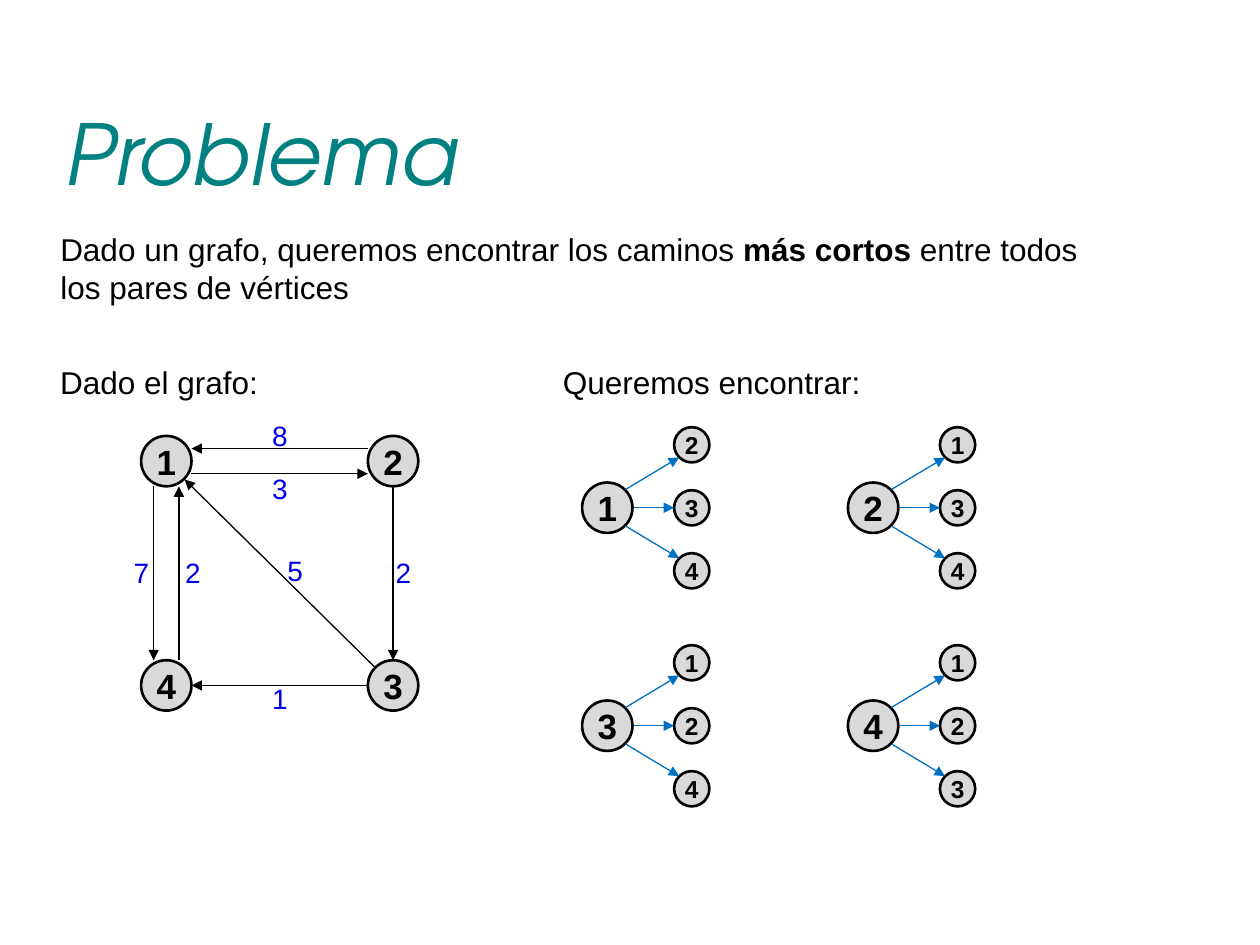
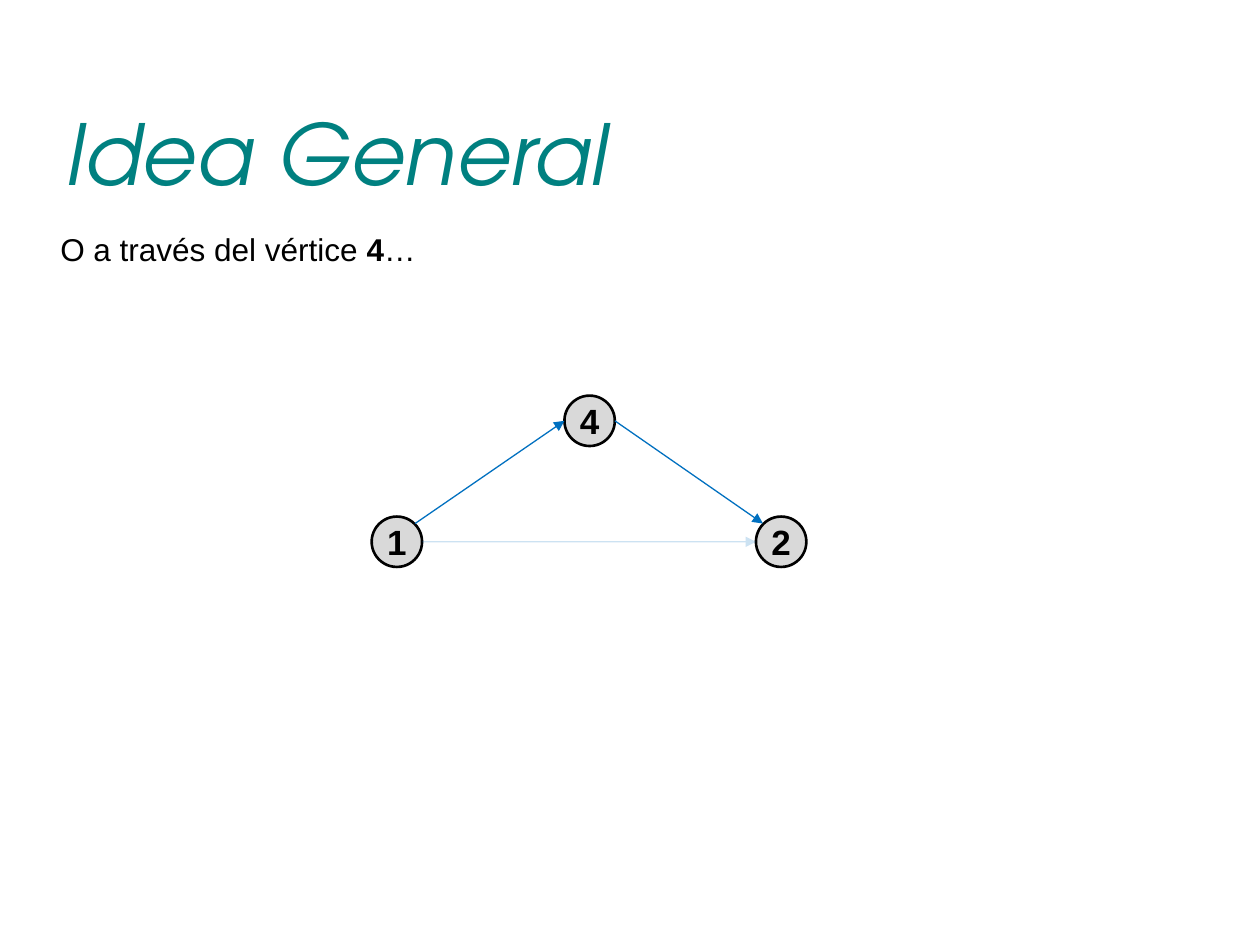
"""Build two slides on shortest paths between all pairs of vertices."""
from lxml.etree import SubElement
from pptx import Presentation
from pptx.dml.color import RGBColor
from pptx.enum.shapes import MSO_CONNECTOR as Connector, MSO_SHAPE as Shape
from pptx.enum.text import MSO_ANCHOR as Anchor, PP_ALIGN as Align
from pptx.oxml.ns import qn
from pptx.util import Inches, Pt

COLORS = {
    "title": "008080",
    "text": "000000",
    "node": "D9D9D9",
    "edge": "000000",
    "path": "0070C0",
    "weight": "0000E6",
}
TITLE_FONT = "TeX Gyre Adventor"
BODY_FONT = "Arial"
RADIUS, SMALL_RADIUS = 0.2, 0.14
DIAGONAL = 0.145


def color(name):
    return RGBColor.from_string(COLORS[name])


def write(box, text, size=18, ink="text", font=BODY_FONT, bold=False, italic=False,
          align=None, anchor=Anchor.TOP, wrap=True, inset=True):
    """Fill a box with one paragraph; ** toggles bold."""
    frame = box.text_frame
    frame.word_wrap = wrap
    frame.vertical_anchor = anchor
    if not inset:
        frame.margin_left = frame.margin_right = 0
        frame.margin_top = frame.margin_bottom = 0
    para = frame.paragraphs[0]
    para.alignment = align
    for index, part in enumerate(text.split("**")):
        span = para.add_run()
        span.text = part
        span.font.name = font
        span.font.size = Pt(size)
        span.font.bold = bold != (index % 2 == 1)
        span.font.italic = italic
        span.font.color.rgb = color(ink)


def add_text(page, text, left, top, width, height, **style):
    box = page.shapes.add_textbox(Inches(left), Inches(top), Inches(width), Inches(height))
    write(box, text, **style)


def add_page(deck, title):
    """Add a blank page with the shared title style."""
    page = deck.slides.add_slide(deck.slide_layouts[6])
    add_text(page, title, 0.42, 0.58, 9, 1.25, size=48, ink="title",
             font=TITLE_FONT, italic=True, anchor=Anchor.MIDDLE)
    return page


def add_node(page, label, center, radius=RADIUS, size=20):
    x, y = center
    node = page.shapes.add_shape(Shape.OVAL, Inches(x - radius), Inches(y - radius),
                                 Inches(2 * radius), Inches(2 * radius))
    node.shadow.inherit = False
    node.fill.solid()
    node.fill.fore_color.rgb = color("node")
    node.line.color.rgb = color("edge")
    node.line.width = Pt(1.5)
    write(node, label, size=size, bold=True, align=Align.CENTER,
          anchor=Anchor.MIDDLE, wrap=False, inset=False)


def add_arrow(page, start, end, ink="path", opacity=100):
    arrow = page.shapes.add_connector(Connector.STRAIGHT, *map(Inches, (*start, *end)))
    arrow.line.color.rgb = color(ink)
    arrow.line.width = Pt(0.75)
    outline = arrow.line._ln
    if opacity < 100:
        shade = outline.find(".//" + qn("a:srgbClr"))
        SubElement(shade, qn("a:alpha"), val=str(opacity * 1000))
    SubElement(outline, qn("a:tailEnd"), type="triangle")
    SubElement(arrow._element.spPr, qn("a:effectLst"))


def shift(point, dx, dy):
    return point[0] + dx, point[1] + dy


def add_star(page, source, targets, center):
    """Draw a source vertex with an arrow to each of its three targets."""
    add_node(page, source, center)
    for target, side in zip(targets, (-1, 0, 1)):
        goal = shift(center, 0.67, 0.5 * side)
        add_node(page, target, goal, SMALL_RADIUS, 14)
        leave = DIAGONAL if side else RADIUS + 0.01
        arrive = 0.1 if side else SMALL_RADIUS
        add_arrow(page, shift(center, leave, DIAGONAL * side),
                  shift(goal, -arrive, -0.1 * side))


def add_graph(page):
    """Draw the directed graph with its edge weights."""
    left, right, top, bottom = 1.32, 3.12, 3.66, 5.44
    vertices = {"1": (left, top), "2": (right, top),
                "3": (right, bottom), "4": (left, bottom)}
    for label, center in vertices.items():
        add_node(page, label, center)
    edges = [
        ("3", (-RADIUS, 0), "4", (RADIUS, 0), "1", (2.16, 5.41)),
        ("3", (-DIAGONAL, -DIAGONAL), "1", (DIAGONAL, DIAGONAL), "5", (2.28, 4.39)),
        ("2", (0, RADIUS), "3", (0, -RADIUS), "2", (3.14, 4.41)),
        ("2", (-RADIUS, -0.1), "1", (RADIUS, -0.1), "8", (2.16, 3.32)),
        ("1", (RADIUS, 0.1), "2", (-RADIUS, 0.1), "3", (2.16, 3.74)),
        ("1", (-0.1, RADIUS), "4", (-0.1, -RADIUS), "7", (1.06, 4.41)),
        ("4", (0.1, -RADIUS), "1", (0.1, RADIUS), "2", (1.47, 4.41)),
    ]
    for source, leave, target, arrive, weight, place in edges:
        add_arrow(page, shift(vertices[source], *leave),
                  shift(vertices[target], *arrive), "edge")
        add_text(page, weight, *place, 0.12, 0.27, size=16, ink="weight",
                 anchor=Anchor.MIDDLE, wrap=False, inset=False)


def build_problem(deck):
    page = add_page(deck, "Problema")
    add_text(page, "Dado un grafo, queremos encontrar los caminos **más cortos** "
             "entre todos los pares de vértices", 0.38, 1.78, 8.48, 0.71)
    add_text(page, "Dado el grafo:", 0.38, 2.83, 2.1, 0.4)
    add_text(page, "Queremos encontrar:", 4.37, 2.83, 3.46, 0.4)
    add_graph(page)
    labels = "1234"
    for index, source in enumerate(labels):
        row, column = divmod(index, 2)
        center = 4.82 + 2.11 * column, 4.03 + 1.73 * row
        add_star(page, source, labels.replace(source, ""), center)


def build_idea(deck):
    page = add_page(deck, "Idea General")
    add_text(page, "O a través del vértice **4**…", 0.38, 1.78, 3.05, 0.4, wrap=False)
    start, end, middle = (3.15, 4.3), (6.2, 4.3), (4.68, 3.34)
    for label, center in (("1", start), ("2", end), ("4", middle)):
        add_node(page, label, center)
    add_arrow(page, shift(start, DIAGONAL, -DIAGONAL), shift(middle, -RADIUS, 0))
    add_arrow(page, shift(middle, RADIUS, 0), shift(end, -DIAGONAL, -DIAGONAL))
    add_arrow(page, shift(start, RADIUS, 0), shift(end, -RADIUS, 0), opacity=20)


def main():
    deck = Presentation()
    deck.slide_width, deck.slide_height = Inches(10), Inches(7.5)
    build_problem(deck)
    build_idea(deck)
    deck.save("out.pptx")


main()
